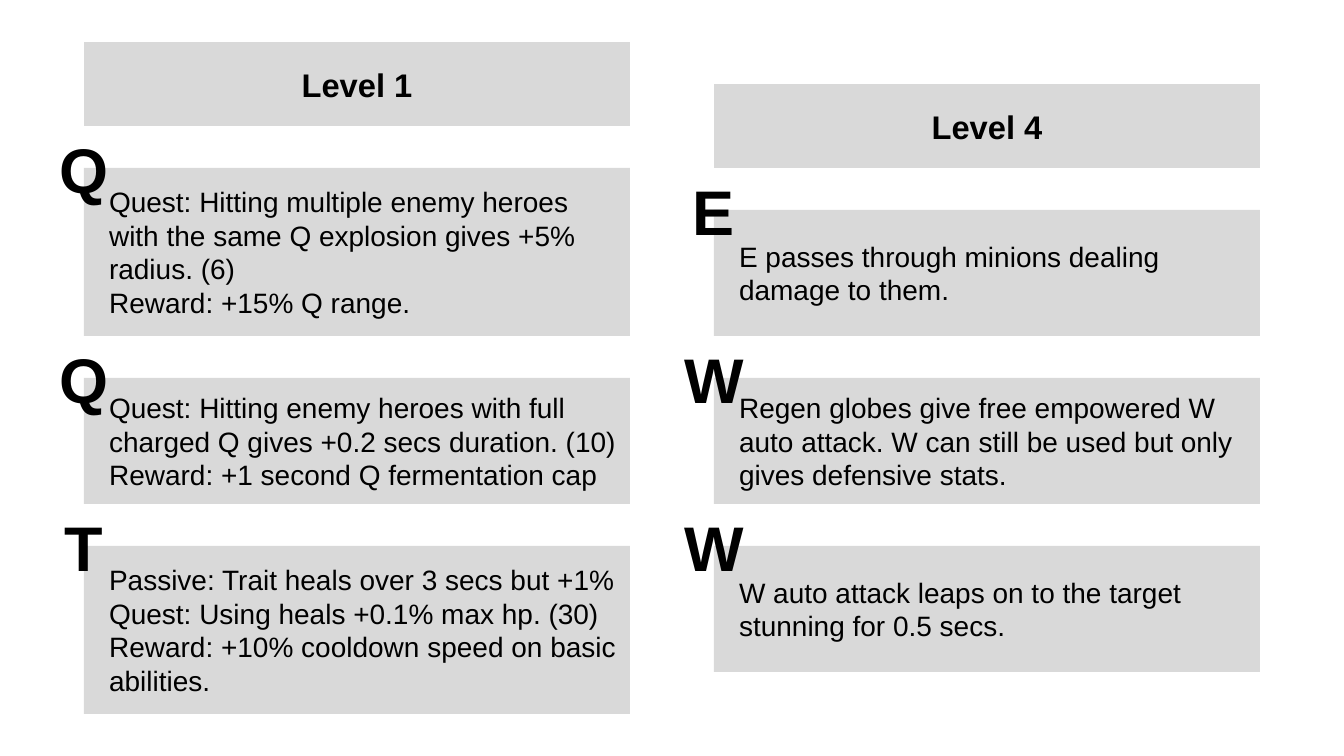
from pptx import Presentation
from pptx.dml.color import RGBColor
from pptx.enum.shapes import MSO_SHAPE
from pptx.enum.text import MSO_ANCHOR, MSO_AUTO_SIZE, PP_ALIGN
from pptx.util import Inches, Pt

RECT = MSO_SHAPE.RECTANGLE
MIDDLE = MSO_ANCHOR.MIDDLE
FIXED = MSO_AUTO_SIZE.NONE
LEFT, CENTER = PP_ALIGN.LEFT, PP_ALIGN.CENTER
FONT = "Arial"
COLORS = {"panel": "D9D9D9", "ink": "000000"}
COLS, ROWS = 32, 18
CELL = Inches(0.5)
WIDE = 13
COMPARE = 4

LEVELS = [
    (1, 2, 1, "Level 1", [
        ("Q", 4, 4, ["Quest: Hitting multiple enemy heroes with the same Q explosion "
                     "gives +5% radius. (6)",
                     "Reward: +15% Q range."]),
        ("Q", 9, 3, ["Quest: Hitting enemy heroes with full charged Q gives "
                     "+0.2 secs duration. (10)",
                     "Reward: +1 second Q fermentation cap"]),
        ("T", 13, 4, ["Passive: Trait heals over 3 secs but +1%",
                      "Quest: Using heals +0.1% max hp. (30)",
                      "Reward: +10% cooldown speed on basic abilities."]),
    ]),
    (3, 17, 2, "Level 4", [
        ("E", 5, 3, ["E passes through minions dealing damage to them."]),
        ("W", 9, 3, ["Regen globes give free empowered W auto attack. W can still "
                     "be used but only gives defensive stats."]),
        ("W", 13, 3, ["W auto attack leaps on to the target stunning for 0.5 secs."]),
    ]),
]


def color(name):
    """Return a named colour."""
    return RGBColor.from_string(COLORS[name])


def grid(col, row, wide, high):
    """Turn grid cells into left, top, width and height."""
    return [n * CELL for n in (col, row, wide, high)]


def paint(shape):
    """Give a shape the plain panel fill."""
    shape.fill.solid()
    shape.fill.fore_color.rgb = color("panel")
    shape.line.fill.background()


def write(shape, lines, size, bold=False, align=LEFT, indent=0):
    """Write paragraphs into a shape, centred vertically."""
    frame = shape.text_frame
    frame.word_wrap = True
    frame.auto_size = FIXED
    frame.vertical_anchor = MIDDLE
    for i, line in enumerate(lines):
        para = frame.add_paragraph() if i else frame.paragraphs[0]
        para.alignment = align
        para.space_before = Pt(0)
        props = para._p.get_or_add_pPr()
        props.set("marL", str(Inches(indent)))
        props.set("indent", "0")
        run = para.add_run()
        run.text = line
        font = run.font
        font.name, font.size, font.bold = FONT, Pt(size), bold
        font.color.rgb = color("ink")


def head(slide, idx, col, row, text):
    """Place a level heading in its placeholder."""
    shape = next(p for p in slide.placeholders if p.placeholder_format.idx == idx)
    shape.left, shape.top, shape.width, shape.height = grid(col, row, WIDE, 2)
    paint(shape)
    write(shape, [text], 28, True, CENTER)


def panel(slide, col, row, high, lines):
    """Draw a talent panel."""
    shape = slide.shapes.add_shape(RECT, *grid(col, row, WIDE, high))
    shape.shadow.inherit = False
    paint(shape)
    write(shape, lines, 24, indent=0.2)


def badge(slide, col, row, key):
    """Centre a key letter on a panel's top left corner."""
    box = slide.shapes.add_textbox(*grid(col - 1, row - 1, 2, 2))
    write(box, [key], 54, True, CENTER)


def main():
    """Build the talent slide."""
    deck = Presentation()
    deck.slide_width, deck.slide_height = COLS * CELL, ROWS * CELL
    slide = deck.slides.add_slide(deck.slide_layouts[COMPARE])
    for idx, col, row, title, talents in LEVELS:
        head(slide, idx, col, row, title)
        for key, top, high, lines in talents:
            panel(slide, col, top, high, lines)
            badge(slide, col, top, key)
    for spare in list(slide.placeholders):
        if not spare.text_frame.text:
            spare._element.getparent().remove(spare._element)
    deck.save("out.pptx")


main()
